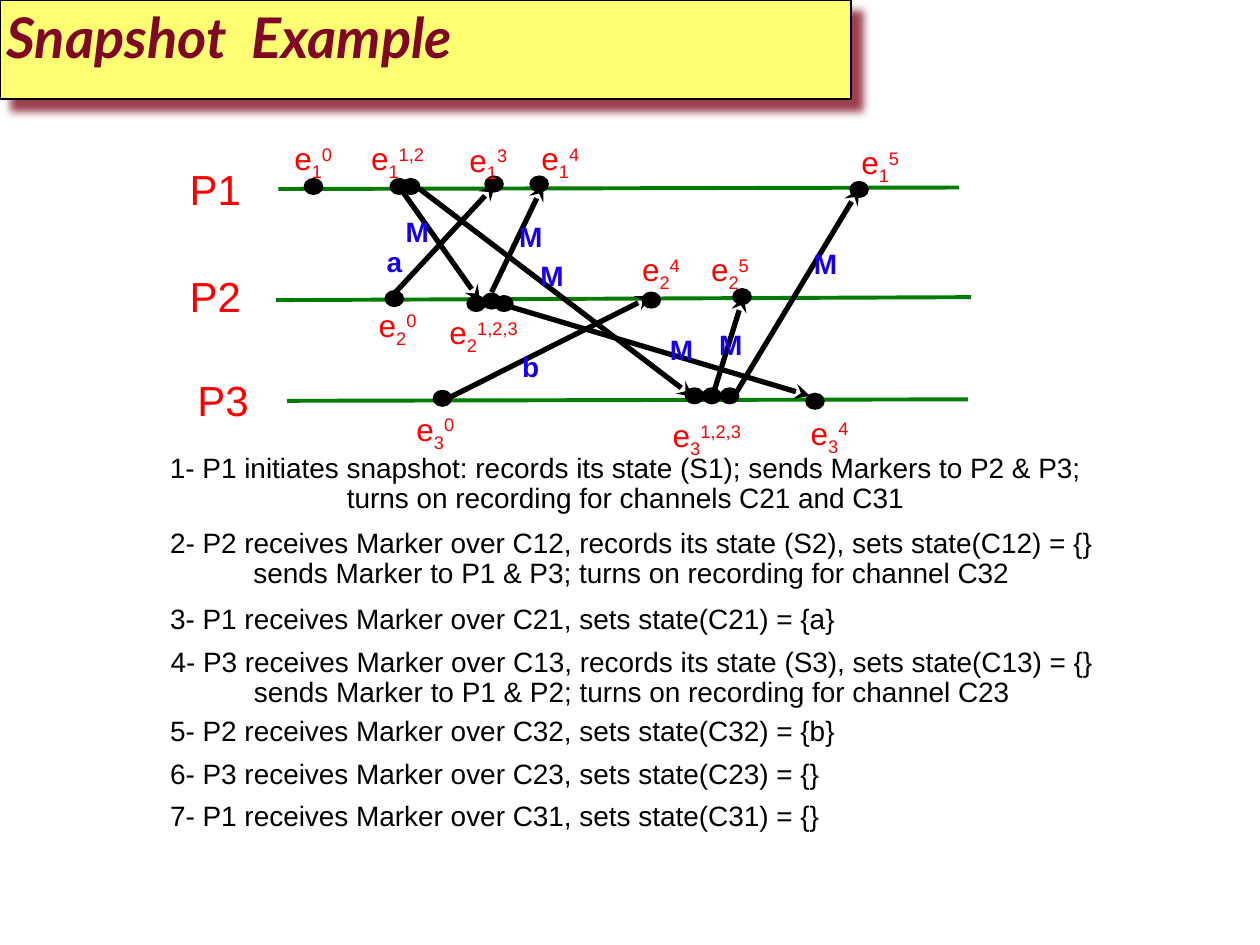
from lxml.etree import SubElement
from pptx import Presentation
from pptx.dml.color import RGBColor
from pptx.enum.shapes import MSO_CONNECTOR, MSO_SHAPE
from pptx.enum.text import MSO_ANCHOR, MSO_AUTO_SIZE, PP_ALIGN
from pptx.oxml import parse_xml
from pptx.oxml.ns import nsdecls, qn
from pptx.util import Cm, Pt

RED, GREEN, BLUE, BLACK = "FA0000", "037C03", "1700E5", "000000"
color = RGBColor.from_string

presentation = Presentation()
presentation.slide_width, presentation.slide_height = Cm(25.4), Cm(19.05)
slide = presentation.slides.add_slide(presentation.slide_layouts[5])


def add_text(left, top, width, height, runs, size, hex_color, bold=False,
             alignment=PP_ALIGN.CENTER):
    """Add a text box; each run is a pair of text and baseline shift."""
    box = slide.shapes.add_textbox(Cm(left), Cm(top), Cm(width), Cm(height))
    box.text_frame.word_wrap = True
    paragraph = box.text_frame.paragraphs[0]
    paragraph.alignment = alignment
    paragraph.line_spacing = 0.9
    for text, baseline in runs:
        run = paragraph.add_run()
        run.text = text
        run.font.name, run.font.size, run.font.bold = "Arial", Pt(size), bold
        run.font.color.rgb = color(hex_color)
        if baseline:
            run.font._element.set("baseline", str(baseline * 1000))


def add_line(start, end, hex_color, width, arrow=False):
    """Add a straight line, with an arrowhead at its end if asked."""
    line = slide.shapes.add_connector(
        MSO_CONNECTOR.STRAIGHT, *(Cm(value) for value in start + end))
    line.line.color.rgb = color(hex_color)
    line.line.width = Pt(width)
    if arrow:
        SubElement(line.line._get_or_add_ln(), qn("a:tailEnd"), type="stealth")
    SubElement(line._element.spPr, qn("a:effectLst"))


# Title banner with a soft shadow
title = slide.shapes.title
title.left, title.top, title.width, title.height = Cm(0), Cm(0), Cm(17.15), Cm(2)
title.fill.solid()
title.fill.fore_color.rgb = color("FEFF72")
title.line.color.rgb = color(BLACK)
title.line.width = Pt(1)
title._element.spPr.append(parse_xml(
    f'<a:effectLst {nsdecls("a")}>'
    f'<a:outerShdw blurRad="{Pt(5)}" dist="{Pt(8.5)}" dir="2700000" algn="ctr">'
    '<a:srgbClr val="790015"><a:alpha val="75000"/></a:srgbClr>'
    '</a:outerShdw></a:effectLst>'))
frame = title.text_frame
frame.word_wrap = True
frame.auto_size = MSO_AUTO_SIZE.NONE
frame.vertical_anchor = MSO_ANCHOR.TOP
frame.margin_left = frame.margin_right = Cm(0.13)
frame.margin_top = frame.margin_bottom = Cm(0.05)
frame.paragraphs[0].alignment = PP_ALIGN.LEFT
run = frame.paragraphs[0].add_run()
run.text = "Snapshot  Example"
run.font.name, run.font.size = "Lato", Pt(32)
run.font.bold = run.font.italic = True
run.font.color.rgb = color("7F0624")

# Process timelines: name, label left and top, line start and end
processes = [
    ("P1", 2.74, 3.28, (5.61, 3.81), (19.33, 3.78)),
    ("P2", 2.74, 5.44, (5.56, 6.05), (19.58, 5.99)),
    ("P3", 2.9, 7.54, (5.79, 8.08), (19.51, 8.05)),
]
for name, left, top, start, end in processes:
    add_line(start, end, GREEN, 2.25)
    add_text(left, top, 3.2, 1.17, [(name, 0)], 24, RED)

# Messages and markers: label, label left and top, arrow start and end
messages = [
    ("a", 7.44, 4.88, (7.9, 5.97), (9.98, 3.73)),
    ("b", 10.19, 6.99, (8.89, 8.1), (13.13, 5.97)),
    ("M", 7.9, 4.27, (8.08, 3.81), (9.68, 6.07)),
    ("M", 10.62, 5.16, (8.46, 3.81), (13.97, 8)),
    ("M", 10.19, 4.37, (9.91, 5.89), (10.95, 3.73)),
    ("M", 13.23, 6.65, (10.24, 6.17), (16.33, 7.98)),
    ("M", 14.22, 6.55, (14.4, 7.87), (14.99, 5.97)),
    ("M", 16.13, 4.93, (14.76, 8.05), (17.32, 3.81)),
]
for label, left, top, start, end in messages:
    add_line(start, end, BLACK, 3, arrow=True)
for label, left, top, start, end in messages:
    add_text(left, top, 1.02, 0.86, [(label, 0)], 16, BLUE, bold=True)

# Event dots, by centre
DOT_WIDTH, DOT_HEIGHT = 0.36, 0.31
event_centres = [
    (6.32, 3.76), (8.05, 3.76), (8.28, 3.76), (9.96, 3.71), (10.87, 3.71), (17.32, 3.82),
    (7.95, 6.02), (9.6, 6.12), (9.91, 6.07), (10.16, 6.12), (13.13, 6.05), (14.96, 5.98),
    (8.92, 8.03), (14, 7.98), (14.35, 7.98), (14.71, 7.98), (16.43, 8.09),
]
for x, y in event_centres:
    dot = slide.shapes.add_shape(
        MSO_SHAPE.OVAL, Cm(x - DOT_WIDTH / 2), Cm(y - DOT_HEIGHT / 2),
        Cm(DOT_WIDTH), Cm(DOT_HEIGHT))
    dot.shadow.inherit = False
    dot.fill.solid()
    dot.fill.fore_color.rgb = dot.line.color.rgb = color(BLACK)
    dot.line.width = Pt(1)

# Event labels: process, event numbers, left, top, width
event_labels = [
    ("1", "0", 5.54, 2.69, 1.55), ("1", "1,2", 7.14, 2.69, 1.75),
    ("1", "3", 9.07, 2.72, 1.55), ("1", "4", 10.52, 2.69, 1.55),
    ("1", "5", 16.97, 2.77, 1.55),
    ("2", "0", 7.24, 6.05, 1.55), ("2", "1,2,3", 8.71, 6.2, 2.08),
    ("2", "4", 12.55, 4.93, 1.55), ("2", "5", 13.94, 4.93, 1.55),
    ("3", "0", 8, 8.15, 1.55), ("3", "1,2,3", 13.13, 8.28, 2.24),
    ("3", "4", 15.95, 8.23, 1.55),
]
for process, event, left, top, width in event_labels:
    add_text(left, top, width, 0.94, [("e", 0), (process, -25), (event, 30)], 18, RED)

# Steps of the algorithm: left, top, width, alignment, text
CENTER, LEFT = PP_ALIGN.CENTER, PP_ALIGN.LEFT
steps = [
    (3.1, 9.04, 19.02, CENTER,
     "1- P1 initiates snapshot: records its state (S1); sends Markers to P2 & P3; "
     "turns on recording for channels C21 and C31"),
    (2.9, 10.54, 19.66, CENTER,
     "2- P2 receives Marker over C12, records its state (S2), sets state(C12) = {} "
     "sends Marker to P1 & P3; turns on recording for channel C32"),
    (3.18, 12.07, 19.4, LEFT, "3- P1 receives Marker over C21, sets state(C21) = {a}"),
    (2.9, 12.95, 19.68, CENTER,
     "4- P3 receives Marker over C13, records its state (S3), sets state(C13) = {} "
     "sends Marker to P1 & P2; turns on recording for channel C23"),
    (3.18, 14.33, 19.4, LEFT, "5- P2 receives Marker over C32, sets state(C32) = {b}"),
    (3.18, 15.21, 19.4, LEFT, "6- P3 receives Marker over C23, sets state(C23) = {}"),
    (3.18, 16.05, 19.4, LEFT, "7- P1 receives Marker over C31, sets state(C31) = {}"),
]
for left, top, width, alignment, text in steps:
    height = 1.47 if alignment == CENTER else 0.86
    add_text(left, top, width, height, [(text, 0)], 16, BLACK, alignment=alignment)

presentation.save("out.pptx")
